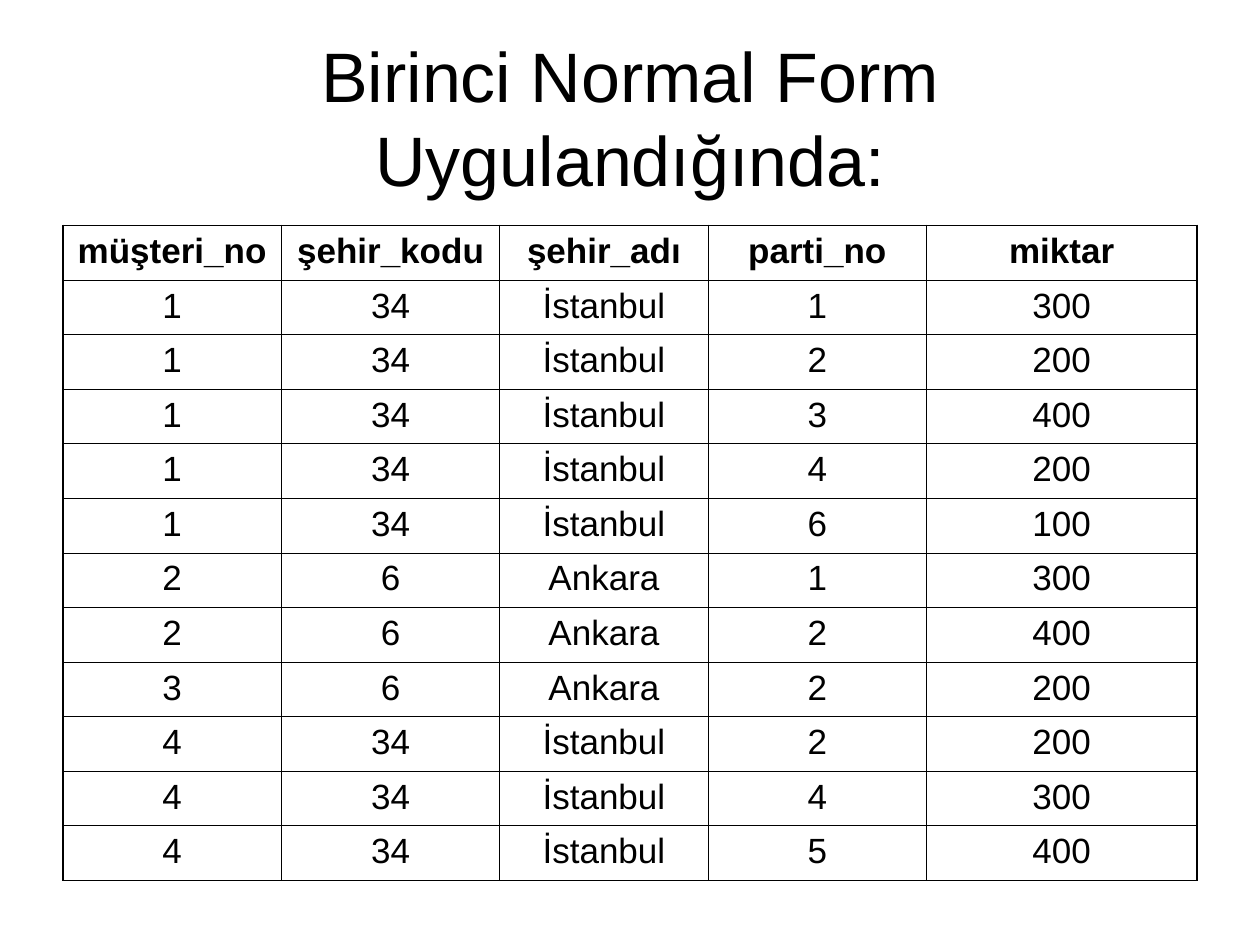
from lxml.etree import SubElement as Sub
from pptx import Presentation
from pptx.dml.color import RGBColor
from pptx.enum.text import MSO_ANCHOR as Anchor, MSO_AUTO_SIZE as Fit, PP_ALIGN as Align
from pptx.oxml.ns import qn
from pptx.util import Inches, Pt


def color(code):
    return RGBColor.from_string(code)


class Deck:
    font, ink = "Arial", "000000"
    thin, thick = 0.45, 1.08

    def __init__(self, wide, high):
        self.prs = Presentation()
        self.prs.slide_width = Inches(wide)
        self.prs.slide_height = Inches(high)
        self.slide = self.prs.slides.add_slide(self.prs.slide_layouts[5])

    def box(self, x, y, w, h):
        """Turn shares of the slide into lengths."""
        wide, high = self.prs.slide_width, self.prs.slide_height
        return [round(n) for n in (x * wide, y * high, w * wide, h * high)]

    def label(self, frame, text, size, bold=False):
        frame.text = text
        para = frame.paragraphs[0]
        para.alignment = Align.CENTER
        for run in para.runs:
            run.font.name, run.font.size = self.font, Pt(size)
            run.font.bold = bold
            run.font.color.rgb = color(self.ink)

    def title(self, text, size, *area):
        head = self.slide.shapes.title
        head.left, head.top, head.width, head.height = self.box(*area)
        frame = head.text_frame
        frame.word_wrap, frame.auto_size = True, Fit.NONE
        frame.vertical_anchor = Anchor.MIDDLE
        self.label(frame, text, size)

    def edge(self, cell, side, width):
        line = Sub(cell._tc.get_or_add_tcPr(), qn(f"a:ln{side}"), w=str(Pt(width)))
        fill = Sub(line, qn("a:solidFill"))
        Sub(fill, qn("a:srgbClr"), val=self.ink)

    def table(self, rows, parts, size, *area):
        last, end = len(rows) - 1, len(parts) - 1
        x, y, w, h = self.box(*area)
        grid = self.slide.shapes.add_table(last + 1, end + 1, x, y, w, h).table
        grid.first_row = grid.horz_banding = False
        for col, part in zip(grid.columns, parts):
            col.width = round(w * part / sum(parts))
        for r, row in enumerate(rows):
            grid.rows[r].height = round(h / len(rows))
            for c, text in enumerate(row):
                cell = grid.cell(r, c)
                self.label(cell.text_frame, text, size, bold=r == 0)
                # Heavier lines on the outer frame
                outer = {"L": c == 0, "R": c == end, "T": r == 0, "B": r == last}
                for side, heavy in outer.items():
                    self.edge(cell, side, self.thick if heavy else self.thin)
                cell.fill.background()

    def save(self):
        self.prs.save("out.pptx")


# Orders: customer, city code, part, amount
CITIES = {"34": "İstanbul", "6": "Ankara"}
ORDERS = [
    ("1", "34", "1", "300"),
    ("1", "34", "2", "200"),
    ("1", "34", "3", "400"),
    ("1", "34", "4", "200"),
    ("1", "34", "6", "100"),
    ("2", "6", "1", "300"),
    ("2", "6", "2", "400"),
    ("3", "6", "2", "200"),
    ("4", "34", "2", "200"),
    ("4", "34", "4", "300"),
    ("4", "34", "5", "400"),
]
HEADS = ("müşteri_no", "şehir_kodu", "şehir_adı", "parti_no", "miktar")


def main():
    deck = Deck(10, 7.5)
    # Title
    deck.title("Birinci Normal Form Uygulandığında:", 40, 0.05, 0.04, 0.9, 1 / 6)
    # Table in first normal form
    rows = [HEADS] + [(who, code, CITIES[code], part, count)
                      for who, code, part, count in ORDERS]
    deck.table(rows, (1.73, 1.73, 1.65, 1.73, 2.14), 20, 0.05, 1.79 / 7.5, 0.9, 5.2 / 7.5)
    deck.save()


if __name__ == "__main__":
    deck = main()
